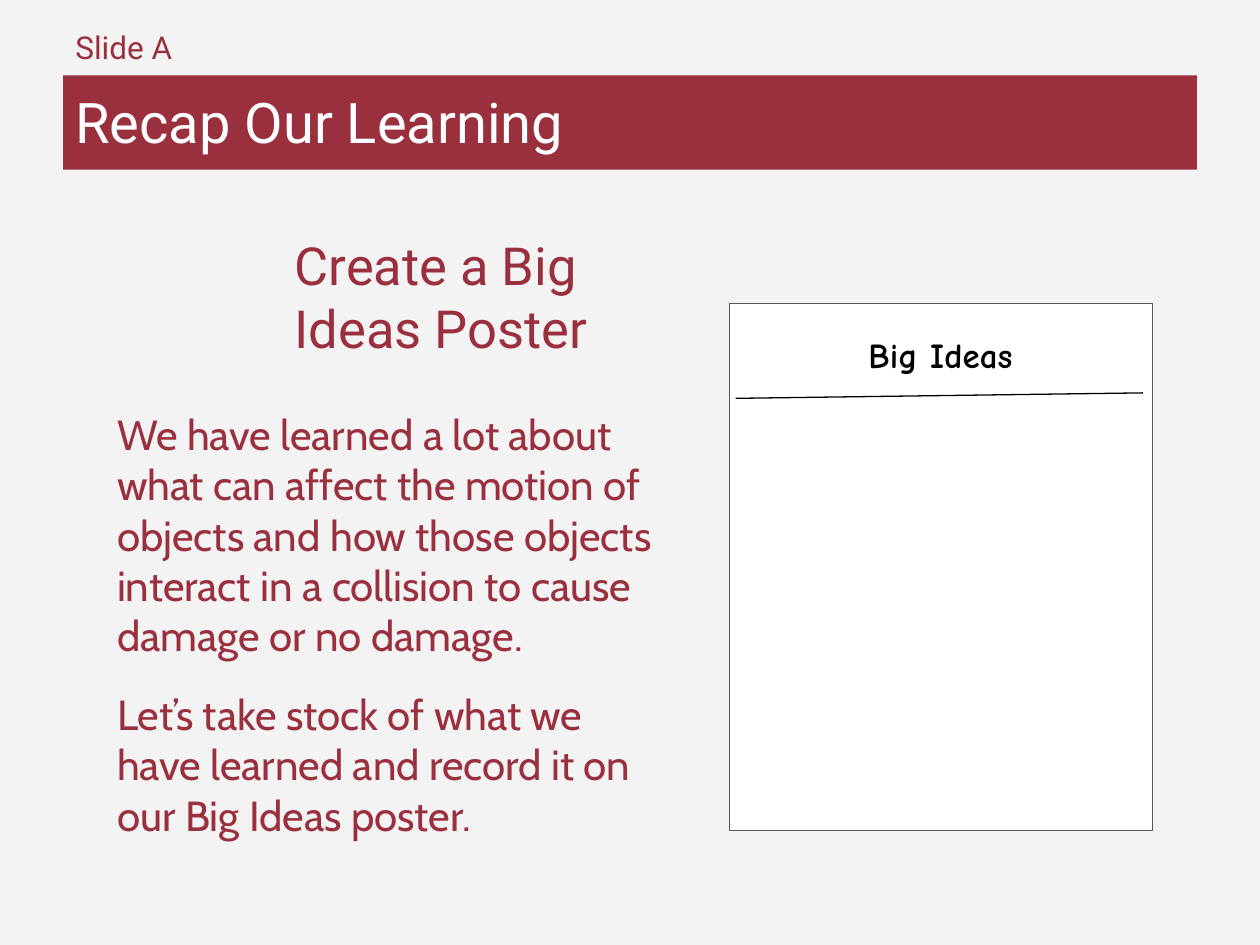
from lxml.etree import SubElement
from pptx import Presentation
from pptx.dml.color import RGBColor
from pptx.enum.shapes import MSO_CONNECTOR, MSO_SHAPE
from pptx.enum.text import MSO_ANCHOR, MSO_AUTO_SIZE, PP_ALIGN
from pptx.oxml.ns import qn
from pptx.util import Cm, Pt

MAROON = RGBColor(0x9A, 0x2F, 0x3E)
WHITE = RGBColor(0xFF, 0xFF, 0xFF)
BLACK = RGBColor(0, 0, 0)
GREY = RGBColor(0x59, 0x59, 0x59)
PALE = RGBColor(0xF3, 0xF3, 0xF3)

SLIDE_LABEL = "Slide A"
TITLE = "Recap Our Learning"
HEADING = "Create a Big Ideas Poster"
BODY = [
    "We have learned a lot about what can affect the motion of objects and how "
    "those objects interact in a collision to cause damage or no damage.",
    "Let’s take stock of what we have learned and record it on our Big Ideas poster.",
]
POSTER_TITLE = "Big Ideas"

# left, top, width, height in cm
LABEL_BOX = (1.27, 0.2, 8.74, 1.32)
TITLE_BOX = (1.27, 1.52, 22.86, 1.9)
HEADING_BOX = (5.94, 4.7, 6.38, 2.26)
BODY_BOX = (2.11, 7.98, 11.43, 4.85)
POSTER_BOX = (14.71, 6.12, 8.53, 10.62)
POSTER_TITLE_BOX = (15.01, 6.76, 7.9, 0.81)
POSTER_RULE = (14.83, 8.03, 23.04, 7.92)  # start x, y, end x, y


def cm(values):
    return [Cm(value) for value in values]


def write(frame, paragraphs, font_name, size, color, inset=0.25,
          anchor=MSO_ANCHOR.TOP, align=PP_ALIGN.LEFT, bold=False):
    frame.text = "\n".join(paragraphs)
    frame.word_wrap = True
    frame.auto_size = MSO_AUTO_SIZE.NONE
    frame.vertical_anchor = anchor
    frame.margin_left = frame.margin_right = Cm(inset)
    frame.margin_top = frame.margin_bottom = Cm(inset)
    for paragraph in frame.paragraphs:
        paragraph.alignment = align
        for run in paragraph.runs:
            run.font.name = font_name
            run.font.size = Pt(size)
            run.font.bold = bold
            run.font.color.rgb = color


presentation = Presentation()
presentation.slide_width, presentation.slide_height = Cm(25.4), Cm(19.05)
slide = presentation.slides.add_slide(presentation.slide_layouts[5])
slide.background.fill.solid()
slide.background.fill.fore_color.rgb = PALE
shapes = slide.shapes

title = shapes.title
title.left, title.top, title.width, title.height = cm(TITLE_BOX)
title.fill.solid()
title.fill.fore_color.rgb = MAROON
write(title.text_frame, [TITLE], "Roboto", 32, WHITE)

label = shapes.add_textbox(*cm(LABEL_BOX)).text_frame
write(label, [SLIDE_LABEL], "Roboto", 18, MAROON)
label.paragraphs[0].line_spacing = 1.15

heading = shapes.add_textbox(*cm(HEADING_BOX)).text_frame
write(heading, [HEADING], "Roboto", 30, MAROON, inset=0)

body = shapes.add_textbox(*cm(BODY_BOX)).text_frame
write(body, BODY, "Cabin", 24, MAROON)
body.paragraphs[1].space_before = Pt(16)

poster = shapes.add_shape(MSO_SHAPE.RECTANGLE, *cm(POSTER_BOX))
poster.shadow.inherit = False
poster.fill.solid()
poster.fill.fore_color.rgb = WHITE
poster.line.color.rgb = GREY
poster.line.width = Pt(0.75)

poster_title = shapes.add_textbox(*cm(POSTER_TITLE_BOX))
poster_title.rotation = 359.9
write(poster_title.text_frame, [POSTER_TITLE], "Comic Neue", 20, BLACK, inset=0,
      anchor=MSO_ANCHOR.BOTTOM, align=PP_ALIGN.CENTER, bold=True)

poster_rule = shapes.add_connector(MSO_CONNECTOR.STRAIGHT, *cm(POSTER_RULE))
poster_rule.line.color.rgb = BLACK
poster_rule.line.width = Pt(0.75)
SubElement(poster_rule.element.spPr, qn("a:effectLst"))

presentation.save("out.pptx")
